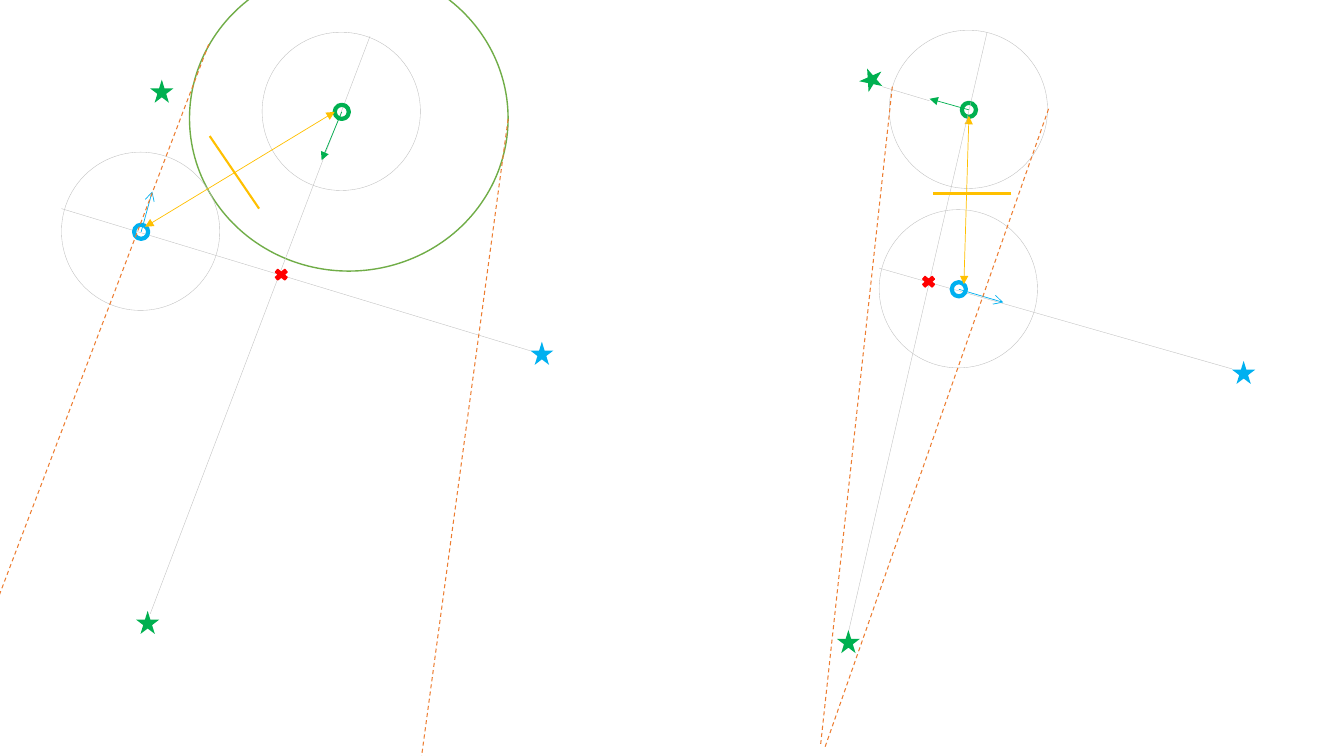
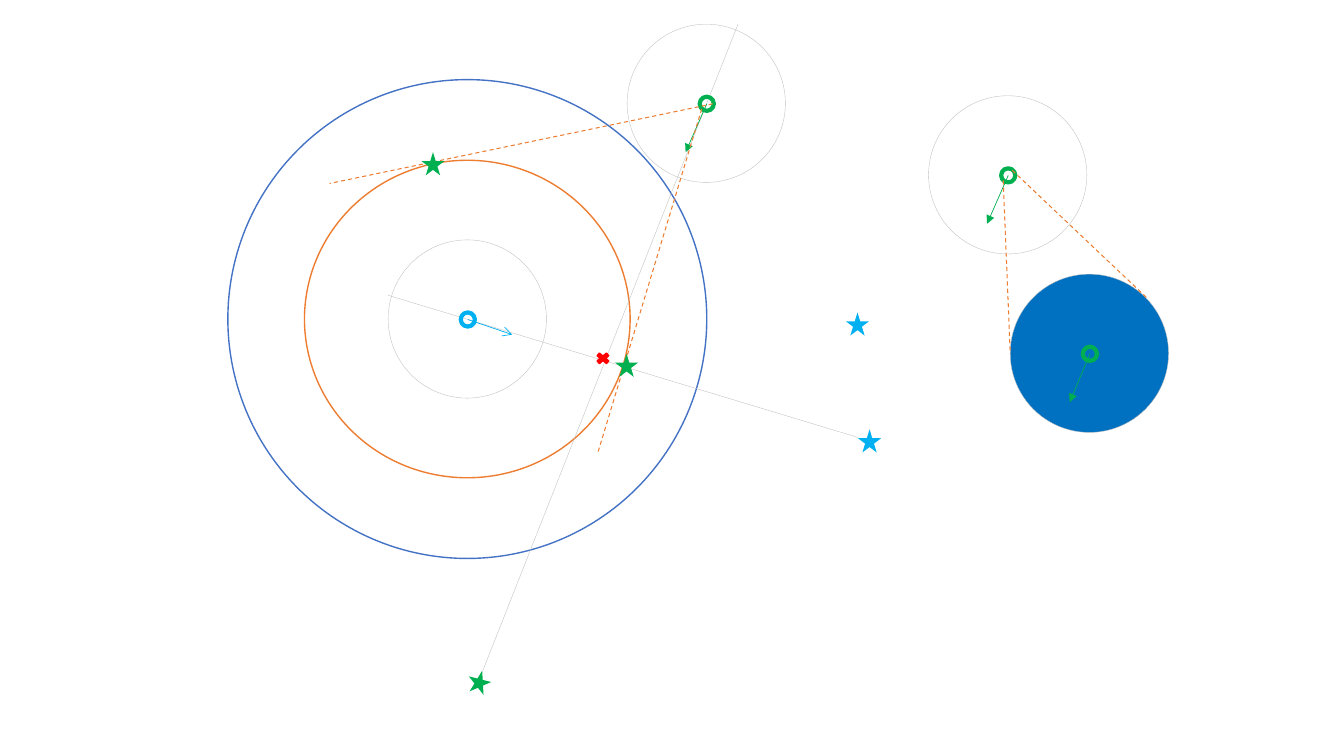
"""Build two slides of robots, their targets, tangents and crossing courses."""
import dataclasses

import pptx
import pptx.dml.color
import pptx.enum.dml
import pptx.enum.shapes
import pptx.oxml.ns
import pptx.oxml.xmlchemy
import pptx.util

PRESET = pptx.enum.shapes.MSO_SHAPE


@dataclasses.dataclass(frozen=True)
class Theme:
    """Colours and stroke widths in points."""
    white: str = "FFFFFF"
    grey: str = "BFBFBF"
    green: str = "00B050"
    sky: str = "00B0F0"
    red: str = "FF0000"
    amber: str = "FFC000"
    orange: str = "ED7D31"
    leaf: str = "70AD47"
    navy: str = "4472C4"
    obstacle: str = "0070C0"
    hair: float = 0.25
    fine: float = 0.5
    dashed: float = 0.75
    outline: float = 1
    bar: float = 1.5
    hub: float = 3


class Diagram:
    """Draws elements on the current slide, in px of a hundredth of an inch."""
    SCALE = 9144
    BODY, HUB, STAR = 157, 14, 23
    CROSS = (18, 15)

    def __init__(self, theme, width, height):
        """Start a presentation of the given size."""
        self.theme = theme
        self.deck = pptx.Presentation()
        self.deck.slide_width, self.deck.slide_height = self.emu(width, height)
        self.slide = None

    def emu(self, *lengths):
        """Turn px into EMU."""
        return [pptx.util.Emu(length * self.SCALE) for length in lengths]

    def new_slide(self):
        """Make a blank slide current."""
        self.slide = self.deck.slides.add_slide(self.deck.slide_layouts[6])

    def stroke(self, line, color, width):
        """Set the colour and width of a line."""
        line.color.rgb = pptx.dml.color.RGBColor.from_string(color)
        line.width = pptx.util.Pt(width)

    def shape(self, preset, left, top, width, height, fill=None, line=None, weight=1):
        """Add a preset shape without shadow."""
        shape = self.slide.shapes.add_shape(preset, *self.emu(left, top, width, height))
        shape.shadow.inherit = False
        if fill:
            shape.fill.solid()
            shape.fill.fore_color.rgb = pptx.dml.color.RGBColor.from_string(fill)
        else:
            shape.fill.background()
        if line:
            self.stroke(shape.line, line, weight)
        else:
            shape.line.fill.background()
        return shape

    def line(self, start, end, color, weight, dash=False, head=None, tail=None):
        """Add a straight line with optional dashes and arrowheads."""
        connector = self.slide.shapes.add_connector(
            pptx.enum.shapes.MSO_CONNECTOR.STRAIGHT, *self.emu(*start, *end))
        self.stroke(connector.line, color, weight)
        if dash:
            connector.line.dash_style = pptx.enum.dml.MSO_LINE.DASH
        properties = connector.element.spPr
        outline = properties.find(pptx.oxml.ns.qn("a:ln"))
        for tag, kind in (("a:headEnd", head), ("a:tailEnd", tail)):
            if kind:
                arrowhead = pptx.oxml.xmlchemy.OxmlElement(tag)
                arrowhead.set("type", kind)
                outline.append(arrowhead)
        properties.append(pptx.oxml.xmlchemy.OxmlElement("a:effectLst"))

    def ring(self, left, top, width, height, color):
        """Add a large white circle with a coloured outline."""
        self.shape(PRESET.OVAL, left, top, width, height, self.theme.white,
                   color, self.theme.outline)

    def robot(self, center, tip, color, arrow="triangle", fill=None):
        """Add a body circle, its hub and its heading arrow."""
        x, y = center
        for size, stroke, weight in ((self.BODY, self.theme.grey, self.theme.hair),
                                     (self.HUB, color, self.theme.hub)):
            inset = (size + 1) // 2
            self.shape(PRESET.OVAL, x - inset, y - inset, size, size, fill, stroke, weight)
        self.line(center, tip, color, self.theme.fine, tail=arrow)

    def green_robot(self, center, tip, fill=None):
        """Add a green robot."""
        self.robot(center, tip, self.theme.green, fill=fill)

    def blue_robot(self, center, tip):
        """Add a blue robot with an open arrow."""
        self.robot(center, tip, self.theme.sky, "arrow")

    def star(self, x, y, color, turn=0):
        """Add a target star around a point."""
        half = self.STAR // 2
        star = self.shape(PRESET.STAR_5_POINT, x - half, y - half, self.STAR, self.STAR, color)
        star.rotation = turn

    def crossing(self, x, y):
        """Mark the point where two courses meet."""
        width, height = self.CROSS
        self.shape(PRESET.MATH_MULTIPLY, x - width // 2, y - height // 2, width, height,
                   self.theme.red, self.theme.red, self.theme.outline)

    def course(self, start, end):
        """Add a thin grey course."""
        self.line(start, end, self.theme.grey, self.theme.hair)

    def tangent(self, start, end):
        """Add a dashed tangent."""
        self.line(start, end, self.theme.orange, self.theme.dashed, dash=True)

    def distance(self, start, end):
        """Add a double arrow between two robots."""
        self.line(start, end, self.theme.amber, self.theme.fine,
                  head="triangle", tail="triangle")

    def divider(self, start, end):
        """Add the bar between two robots."""
        self.line(start, end, self.theme.amber, self.theme.bar)


def draw_separation(diagram):
    """Draw two pairs of robots with dividers."""
    theme = diagram.theme
    diagram.new_slide()
    diagram.ring(188, -34, 316, 303, theme.leaf)
    diagram.course((367, 36), (149, 609))
    diagram.green_robot((339, 111), (319, 159))
    diagram.course((61, 207), (526, 348))
    diagram.blue_robot((140, 230), (151, 190))
    diagram.star(146, 617, theme.green)
    diagram.star(537, 350, theme.sky)
    diagram.crossing(279, 272)
    diagram.distance((144, 225), (332, 111))
    diagram.tangent((504, 118), (413, 788))
    diagram.tangent((207, 44), (-4, 599))
    diagram.star(160, 90, theme.green)
    diagram.divider((257, 207), (208, 135))

    diagram.course((922, 100), (875, 86))
    diagram.green_robot((961, 109), (922, 98))
    diagram.course((872, 266), (1222, 366))
    diagram.blue_robot((951, 287), (995, 300))
    diagram.star(841, 636, theme.green)
    diagram.star(1233, 369, theme.sky)
    diagram.star(865, 78, theme.green, 49.1)
    diagram.distance((956, 282), (961, 115))
    diagram.course((979, 32), (842, 625))
    diagram.crossing(921, 279)
    diagram.tangent((885, 86), (814, 738))
    diagram.tangent((1040, 108), (818, 742))
    diagram.divider((1003, 192), (925, 192))


def draw_avoidance(diagram):
    """Draw a robot's range rings and a robot facing an obstacle."""
    theme = diagram.theme
    diagram.new_slide()
    diagram.ring(226, 79, 475, 475, theme.navy)
    diagram.ring(302, 159, 323, 315, theme.orange)
    diagram.course((732, 24), (479, 665))
    diagram.green_robot((701, 103), (680, 151))
    diagram.course((385, 293), (851, 434))
    diagram.blue_robot((464, 317), (508, 332))
    diagram.star(475, 676, theme.green, 14.1)
    diagram.star(862, 437, theme.sky)
    diagram.crossing(598, 355)
    diagram.tangent((707, 103), (327, 182))
    diagram.star(429, 162, theme.green)
    diagram.tangent((696, 108), (593, 449))
    diagram.star(621, 362, theme.green)

    diagram.green_robot((1000, 174), (979, 222))
    diagram.green_robot((1081, 351), (1061, 399), theme.obstacle)
    diagram.star(850, 321, theme.sky)
    diagram.tangent((995, 179), (1002, 351))
    diagram.tangent((1004, 169), (1137, 295))


def main():
    """Draw both slides and save them."""
    diagram = Diagram(Theme(), 1333, 750)
    draw_separation(diagram)
    draw_avoidance(diagram)
    diagram.deck.save("out.pptx")


if __name__ == "__main__":
    main()
